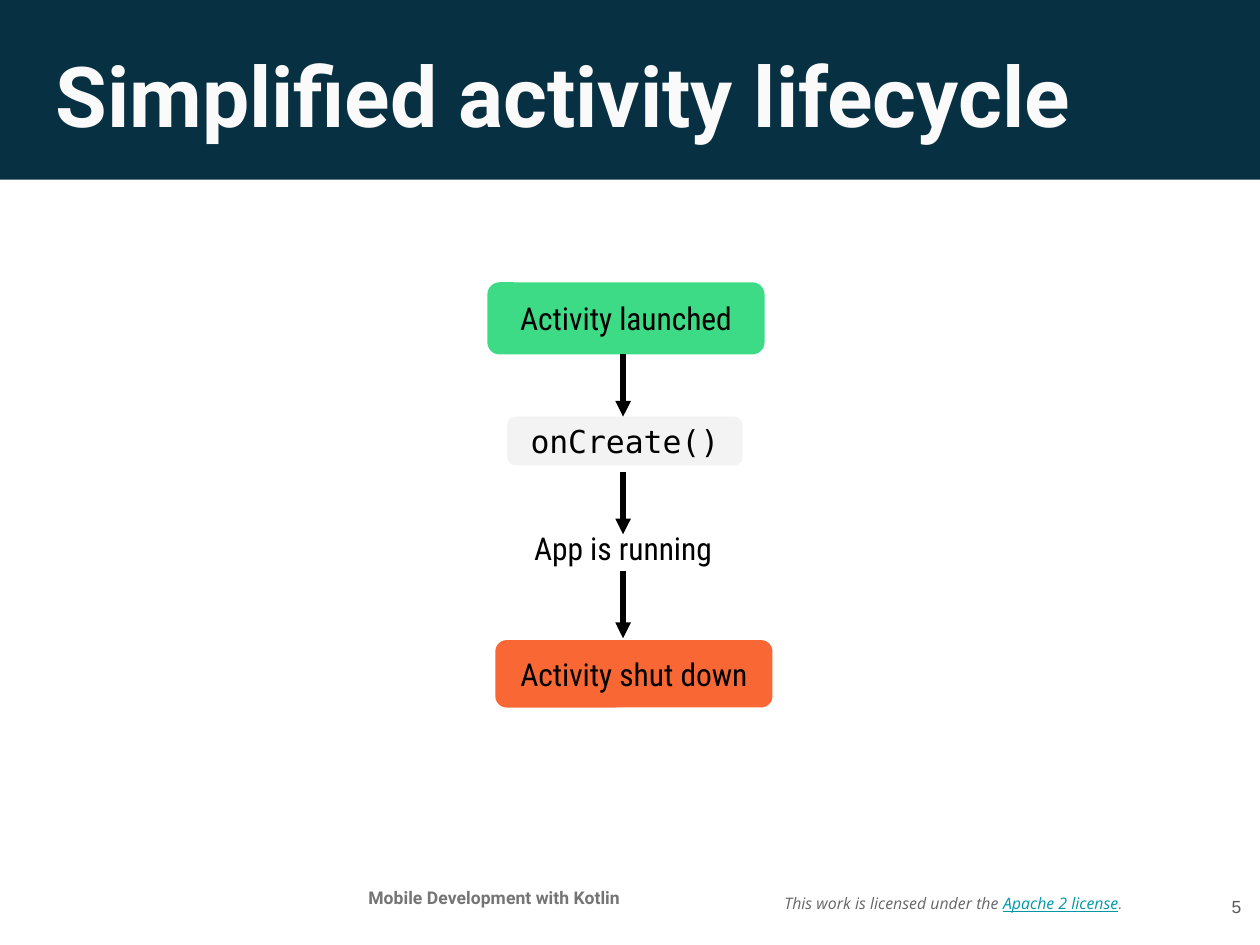
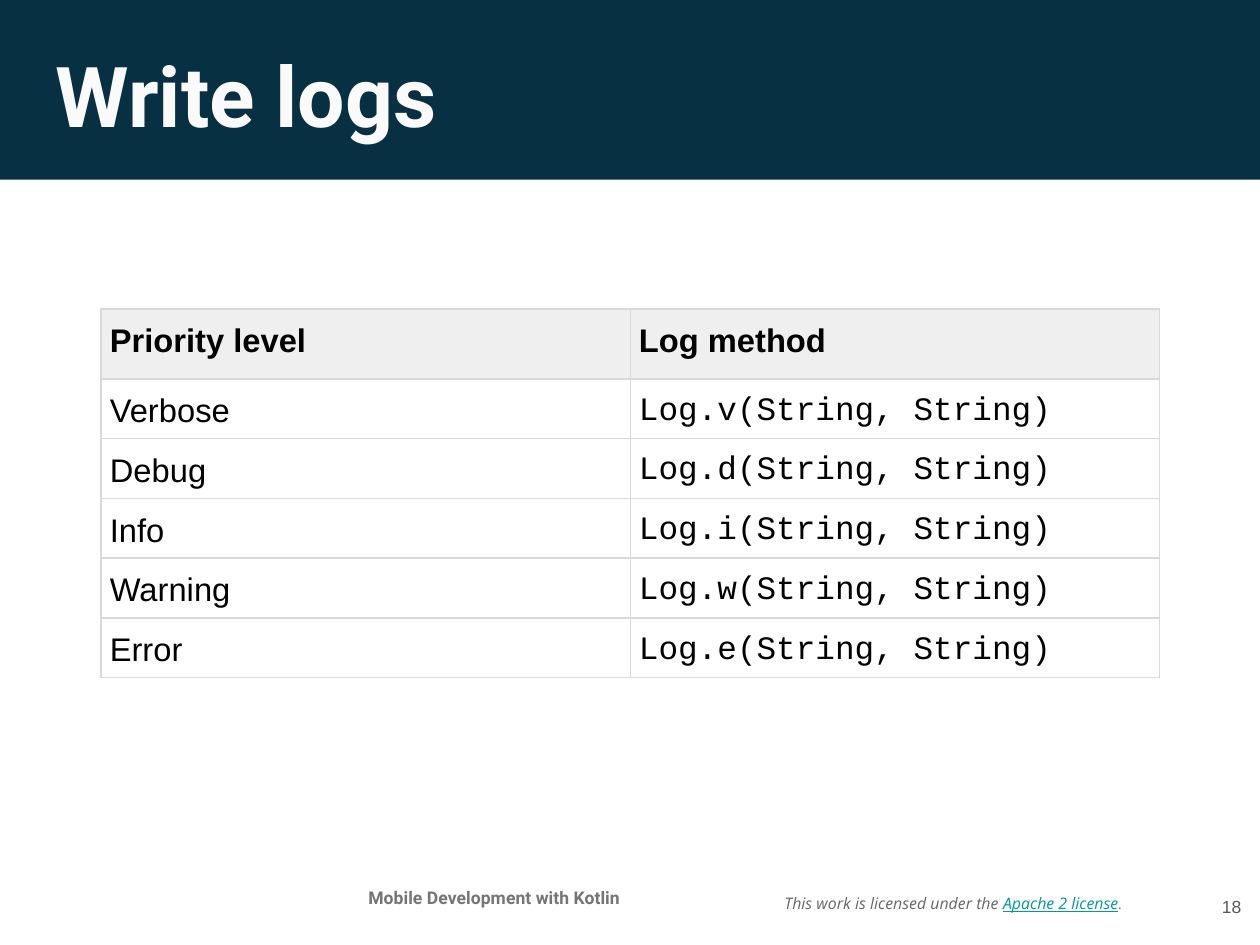
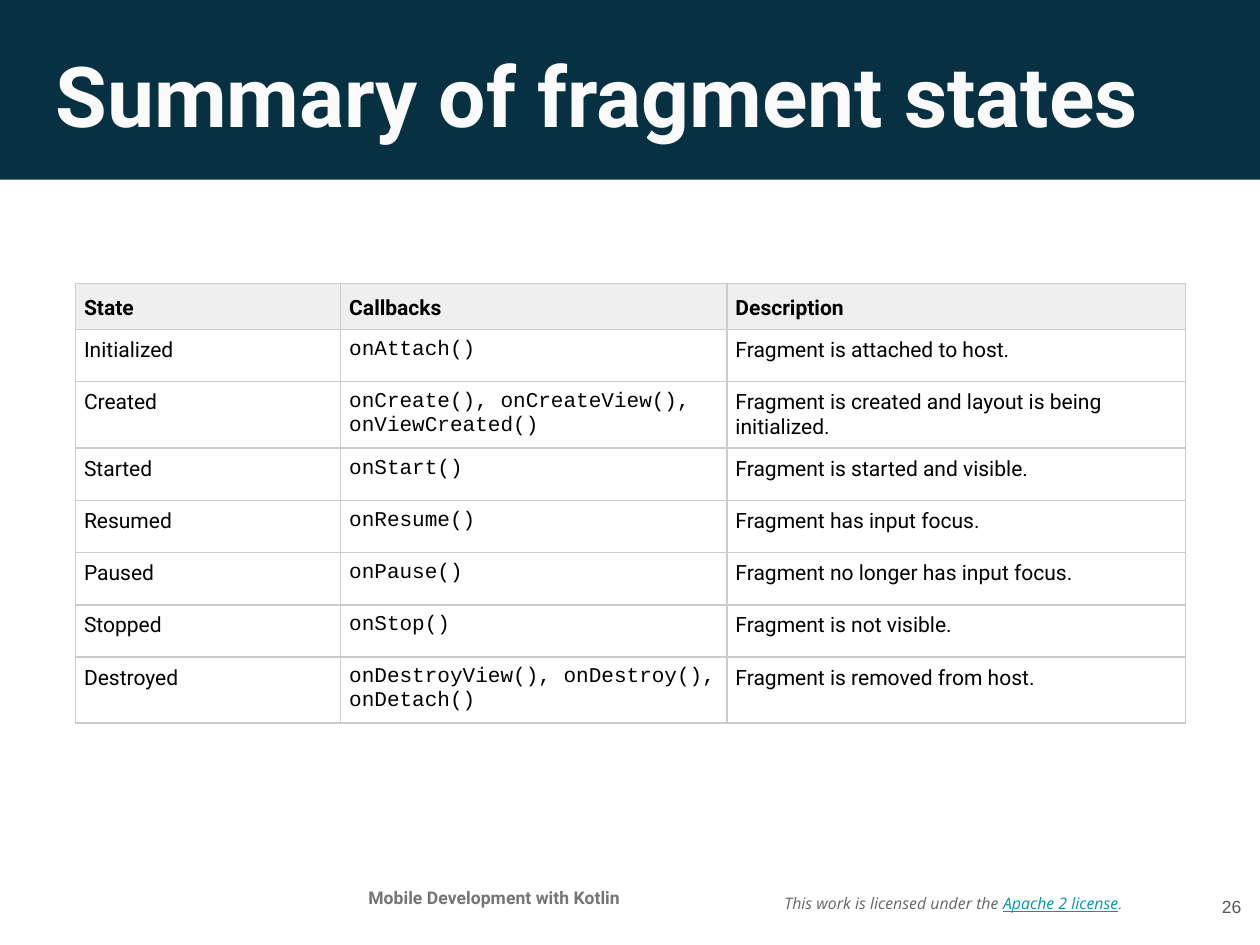
from lxml import etree
from pptx import Presentation
from pptx import util as u
from pptx.dml.color import RGBColor
from pptx.enum import shapes, text
from pptx.oxml import ns

HUES = {
    "band": "073042", "title": "FAFAFA", "ink": "000000",
    "note": "666666", "link": "0097A7", "course": "757575", "page": "595959",
    "start": "3DDB85", "code": "F3F3F3", "stop": "F86734",
    "head": "EFEFEF", "rule": "D9D9D9", "edge": "CCCCCC",
}
LEFT, MID, RIGHT = text.PP_ALIGN.LEFT, text.PP_ALIGN.CENTER, text.PP_ALIGN.RIGHT
TOP, HALF = text.MSO_ANCHOR.TOP, text.MSO_ANCHOR.MIDDLE
SANS, SLIM, MONO, CODE = "Roboto", "Roboto Condensed", "DejaVu Sans Mono", "Courier New"


def rgb(hue):
    return RGBColor.from_string(HUES[hue])


def node(parent, tag, **attrs):
    return etree.SubElement(parent, ns.qn(tag), attrs)


class Deck:
    def __init__(self):
        self.prs = Presentation()
        self.prs.slide_width, self.prs.slide_height = u.Cm(19.05), u.Cm(14.29)
        self.slide = None

    def run(self, par, words, size, font, hue="ink", bold=False, slant=False, line=False):
        run = par.add_run()
        run.text = words
        face = run.font
        face.size, face.name = u.Pt(size), font
        face.bold, face.italic, face.underline = bold, slant, line
        face.color.rgb = rgb(hue)

    def frame(self, shape, align, anchor):
        """Set up the text frame of a shape and return its first paragraph."""
        frame = shape.text_frame
        frame.word_wrap = True
        frame.auto_size = text.MSO_AUTO_SIZE.NONE
        frame.vertical_anchor = anchor
        frame.margin_left = frame.margin_right = u.Cm(0.18)
        frame.margin_top = frame.margin_bottom = u.Cm(0.18)
        par = frame.paragraphs[0]
        par.alignment = align
        return par

    def label(self, place, align=LEFT, anchor=TOP):
        box = self.slide.shapes.add_textbox(*map(u.Cm, place))
        return self.frame(box, align, anchor)

    def block(self, kind, place, hue):
        shape = self.slide.shapes.add_shape(kind, *map(u.Cm, place))
        shape.shadow.inherit = False
        shape.fill.solid()
        shape.fill.fore_color.rgb = rgb(hue)
        shape.line.fill.background()
        return shape

    def step(self, place, hue, words, font=SLIM):
        shape = self.block(shapes.MSO_SHAPE.ROUNDED_RECTANGLE, place, hue)
        self.run(self.frame(shape, MID, HALF), words, 13.5, font)

    def arrow(self, x, top, end):
        line = self.slide.shapes.add_connector(
            shapes.MSO_CONNECTOR.STRAIGHT, *map(u.Cm, (x, top, x, end)))
        line.line.color.rgb = rgb("ink")
        line.line.width = u.Pt(2.25)
        node(line.line._get_or_add_ln(), "a:tailEnd", type="triangle")
        node(line.element.spPr, "a:effectLst")

    def page(self, title, number):
        """Start a slide with the band, the title and the footer."""
        self.slide = self.prs.slides.add_slide(self.prs.slide_layouts[5])
        self.block(shapes.MSO_SHAPE.RECTANGLE, (0, 0, 19.05, 2.72), "band")

        head = self.slide.shapes.title
        head.left, head.top, head.width, head.height = map(u.Cm, (0.66, 0.48, 17.75, 1.6))
        head.element.getparent().append(head.element)  # in front of the band
        self.run(self.frame(head, LEFT, TOP), title, 36, SANS, "title", bold=True)

        course = self.label((4.78, 13.23, 5.38, 0.81), MID)
        self.run(course, "Mobile Development with Kotlin", 7.5, SANS, "course", bold=True)
        note = self.label((11.68, 13.06, 5.59, 1.19), anchor=HALF)
        self.run(note, "This work is licensed under the ", 6.8, "Open Sans", "note", slant=True)
        self.run(note, "Apache 2 license", 6.8, "Open Sans", "link", slant=True, line=True)
        self.run(note, ".", 6.8, SANS, "note", slant=True)
        count = self.label((17.81, 13.16, 1.14, 1.09), RIGHT, HALF)
        self.run(count, str(number), 7.5, "Arial", "page")

    def cell(self, cell, rule, head):
        cell.margin_left = cell.margin_right = u.Cm(0.13)
        cell.margin_top = cell.margin_bottom = u.Cm(0.13)
        props = cell._tc.get_or_add_tcPr()
        for side in "LRTB":
            line = node(props, f"a:ln{side}", w=str(u.Pt(0.75)))
            node(node(line, "a:solidFill"), "a:srgbClr", val=HUES[rule])
        if head:
            cell.fill.solid()
            cell.fill.fore_color.rgb = rgb("head")
        else:
            cell.fill.background()

    def table(self, left, top, cols, tall, rows, size, fonts, rule, space):
        """Draw rows, the first as a head; space is the line spacing of the body."""
        grid = self.slide.shapes.add_table(
            len(rows), len(cols), *map(u.Cm, (left, top, sum(cols), sum(tall)))).table
        grid.first_row = grid.horz_banding = False
        for col, width in zip(grid.columns, cols):
            col.width = u.Cm(width)
        for r, (row, height) in enumerate(zip(rows, tall)):
            grid.rows[r].height = u.Cm(height)
            head = r == 0
            for c, words in enumerate(row):
                cell = grid.cell(r, c)
                self.cell(cell, rule, head)
                par = cell.text_frame.paragraphs[0]
                par.line_spacing = 1.15 if head else space
                self.run(par, words, size, fonts[0] if head else fonts[c], bold=head)


def cycle(deck):
    deck.page("Simplified activity lifecycle", 5)
    deck.step((7.37, 4.27, 4.19, 1.09), "start", "Activity launched")
    deck.step((7.67, 6.3, 3.56, 0.74), "code", "onCreate()", MONO)
    deck.run(deck.label((7.49, 7.82, 3.86, 0.81), MID), "App is running", 13.5, SLIM)
    deck.step((7.49, 9.68, 4.19, 1.02), "stop", "Activity shut down")
    for top, end in ((5.36, 6.3), (7.14, 8.08), (8.64, 9.65)):
        deck.arrow(9.42, top, end)


def logs(deck):
    deck.page("Write logs", 18)
    levels = ("Verbose", "Debug", "Info", "Warning", "Error")
    rows = [("Priority level", "Log method")]
    rows += [(name, f"Log.{name[0].lower()}(String, String)") for name in levels]
    deck.table(1.53, 4.67, (8, 8), [1.06] + [0.88] * len(levels), rows,
               14, ("Arial", CODE), "rule", 1.15)


def states(deck):
    deck.page("Summary of fragment states", 26)
    rows = [
        ("State", "Callbacks", "Description"),
        ("Initialized", "onAttach()", "Fragment is attached to host."),
        ("Created", "onCreate(), onCreateView(), onViewCreated()",
         "Fragment is created and layout is being initialized."),
        ("Started", "onStart()", "Fragment is started and visible."),
        ("Resumed", "onResume()", "Fragment has input focus."),
        ("Paused", "onPause()", "Fragment no longer has input focus."),
        ("Stopped", "onStop()", "Fragment is not visible."),
        ("Destroyed", "onDestroyView(), onDestroy(), onDetach()",
         "Fragment is removed from host."),
    ]
    one, two = 0.79, 1
    tall = (0.66, one, two, one, one, one, one, two)
    deck.table(1.14, 4.29, (4.01, 5.84, 6.93), tall, rows,
               9, (SANS, CODE, SANS), "edge", 1)


def main():
    deck = Deck()
    for draw in (cycle, logs, states):
        draw(deck)
    deck.prs.save("out.pptx")


if __name__ == "__main__":
    main()
